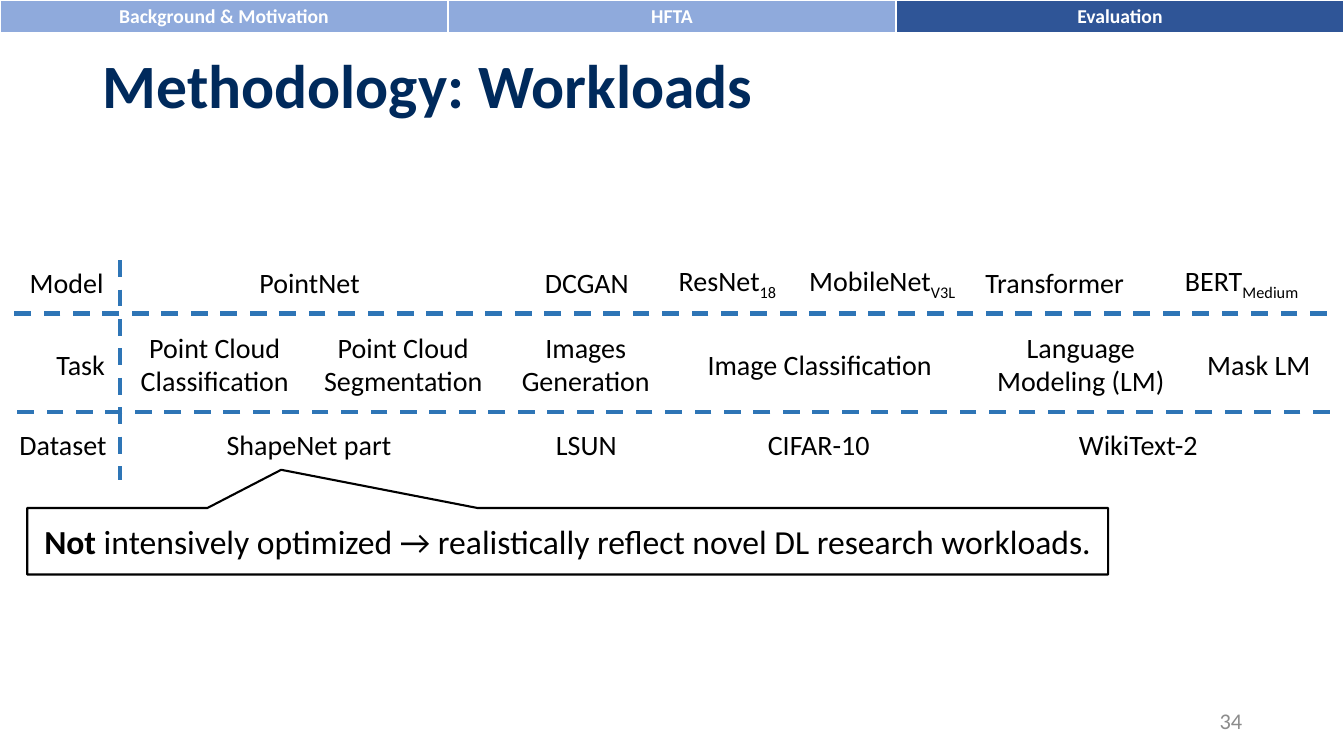
from pptx import Presentation
from pptx.dml.color import RGBColor
from pptx.enum.dml import MSO_LINE
from pptx.enum.shapes import MSO_CONNECTOR, MSO_SHAPE
from pptx.enum.text import MSO_ANCHOR, PP_ALIGN
from pptx.oxml.ns import qn
from pptx.util import Inches, Pt
from lxml import etree

CENTER, LEFT, RIGHT = PP_ALIGN.CENTER, PP_ALIGN.LEFT, PP_ALIGN.RIGHT
MIDDLE = MSO_ANCHOR.MIDDLE
STRAIGHT = MSO_CONNECTOR.STRAIGHT
DASH = MSO_LINE.DASH
CALLOUT = MSO_SHAPE.RECTANGULAR_CALLOUT

FONT = "Calibri"
COLORS = {
    "white": "FFFFFF", "black": "000000", "navy": "002A5C", "gray": "8C8C8C",
    "divider": "2E75B6", "section": "8FAADC", "current section": "2F5597",
}
SLIDE_WIDTH, SLIDE_HEIGHT = 13.33, 7.5
SECTIONS = ["Background & Motivation", "HFTA", "Evaluation"]
CURRENT_SECTION = "Evaluation"
ONE_LINE, TWO_LINES = 0.44, 0.77

# Each row: vertical centre, then labels as (text, subscript, left, width, height).
WORKLOAD_ROWS = [
    (2.8, [
        ("Model", "", 0.07, 1.18, ONE_LINE),
        ("PointNet", "", 2.4, 1.34, ONE_LINE),
        ("DCGAN", "", 5.23, 1.18, ONE_LINE),
        ("ResNet", "18", 6.59, 1.25, ONE_LINE),
        ("MobileNet", "V3L", 7.84, 1.82, ONE_LINE),
        ("Transformer", "", 9.55, 1.82, ONE_LINE),
        ("BERT", "Medium", 11.6, 1.43, ONE_LINE),
    ]),
    (3.61, [
        ("Task", "", 0.35, 0.9, ONE_LINE),
        ("Point Cloud\nClassification", "", 1.19, 1.88, TWO_LINES),
        ("Point Cloud\nSegmentation", "", 3.06, 1.88, TWO_LINES),
        ("Images Generation", "", 4.87, 1.88, TWO_LINES),
        ("Image Classification", "", 6.88, 2.5, ONE_LINE),
        ("Language\nModeling (LM)", "", 9.47, 2.5, TWO_LINES),
        ("Mask LM", "", 11.86, 1.25, ONE_LINE),
    ]),
    (4.41, [
        ("Dataset", "", 0, 1.25, ONE_LINE),
        ("ShapeNet part", "", 2.11, 1.91, ONE_LINE),
        ("LSUN", "", 5.39, 0.85, ONE_LINE),
        ("CIFAR-10", "", 7.41, 1.42, ONE_LINE),
        ("WikiText-2", "", 10.58, 1.42, ONE_LINE),
    ]),
]
DIVIDERS = [
    (1.19, 2.58, 1.19, 4.76),
    (13.16, 3.11, 0.07, 3.11),
    (13.19, 4.09, 0.1, 4.09),
]


def color(name):
    return RGBColor.from_string(COLORS[name])


def style_paragraph(paragraph, size, color_name, alignment, bold=None):
    paragraph.alignment = alignment
    font = paragraph.font
    font.name, font.size, font.bold = FONT, Pt(size), bold
    font.color.rgb = color(color_name)


def add_text(slide, text, left, top, width, height, size=20,
             color_name="black", alignment=CENTER, bold=None):
    box = slide.shapes.add_textbox(
        Inches(left), Inches(top), Inches(width), Inches(height))
    frame = box.text_frame
    frame.word_wrap = True
    frame.vertical_anchor = MIDDLE
    frame.text = text
    for paragraph in frame.paragraphs:
        style_paragraph(paragraph, size, color_name, alignment, bold)
    return frame


def add_label(slide, center, text, subscript, left, width, height):
    frame = add_text(slide, text, left, center - height / 2, width, height)
    if subscript:
        run = frame.paragraphs[-1].add_run()
        run.text = subscript
        run.font._element.set("baseline", "-25000")


def set_cell_borders(cell):
    """White borders, thicker at the bottom; they must precede the cell fill."""
    properties = cell._tc.get_or_add_tcPr()
    for side, width in (("L", 1), ("R", 1), ("T", 1), ("B", 3)):
        line = etree.SubElement(properties, qn(f"a:ln{side}"), w=str(Pt(width)))
        fill = etree.SubElement(line, qn("a:solidFill"))
        etree.SubElement(fill, qn("a:srgbClr"), val=COLORS["white"])


def add_section_bar(slide):
    table = slide.shapes.add_table(
        1, len(SECTIONS), 0, 0, Inches(SLIDE_WIDTH), Inches(0.33)).table
    for cell, section in zip(table.rows[0].cells, SECTIONS):
        set_cell_borders(cell)
        cell.fill.solid()
        is_current = section == CURRENT_SECTION
        cell.fill.fore_color.rgb = color("current section" if is_current else "section")
        cell.text = section
        style_paragraph(cell.text_frame.paragraphs[0], 14, "white", CENTER, True)


def add_divider(slide, *ends):
    connector = slide.shapes.add_connector(STRAIGHT, *map(Inches, ends))
    connector.line.color.rgb = color("divider")
    connector.line.width = Pt(3)
    connector.line.dash_style = DASH
    etree.SubElement(connector._element.spPr, qn("a:effectLst"))


def add_callout(slide, bold_text, text):
    callout = slide.shapes.add_shape(
        CALLOUT, Inches(0.27), Inches(5.04), Inches(10.72), Inches(0.66))
    callout.adjustments[0] = -0.265
    callout.adjustments[1] = -1.075
    callout.shadow.inherit = False
    callout.fill.background()
    callout.line.color.rgb = color("black")
    callout.line.width = Pt(1.5)
    frame = callout.text_frame
    frame.word_wrap = True
    frame.vertical_anchor = MIDDLE
    paragraph = frame.paragraphs[0]
    style_paragraph(paragraph, 24, "black", CENTER)
    for content, bold in ((bold_text, True), (text, False)):
        run = paragraph.add_run()
        run.text = content
        run.font.bold = bold


def main():
    presentation = Presentation()
    presentation.slide_width = Inches(SLIDE_WIDTH)
    presentation.slide_height = Inches(SLIDE_HEIGHT)
    slide = presentation.slides.add_slide(presentation.slide_layouts[6])

    add_section_bar(slide)
    title = add_text(slide, "Methodology: Workloads", 0.92, 0.15, 11.5, 1.45,
                     44, "navy", LEFT, True)
    title.paragraphs[0].line_spacing = 0.9
    add_text(slide, "34", 9.42, 6.95, 3, 0.4, 16, "gray", RIGHT)
    for center, labels in WORKLOAD_ROWS:
        for label in labels:
            add_label(slide, center, *label)
    for ends in DIVIDERS:
        add_divider(slide, *ends)
    add_callout(slide, "Not", " intensively optimized → realistically reflect "
                "novel DL research workloads.")
    presentation.save("out.pptx")


if __name__ == "__main__":
    main()
